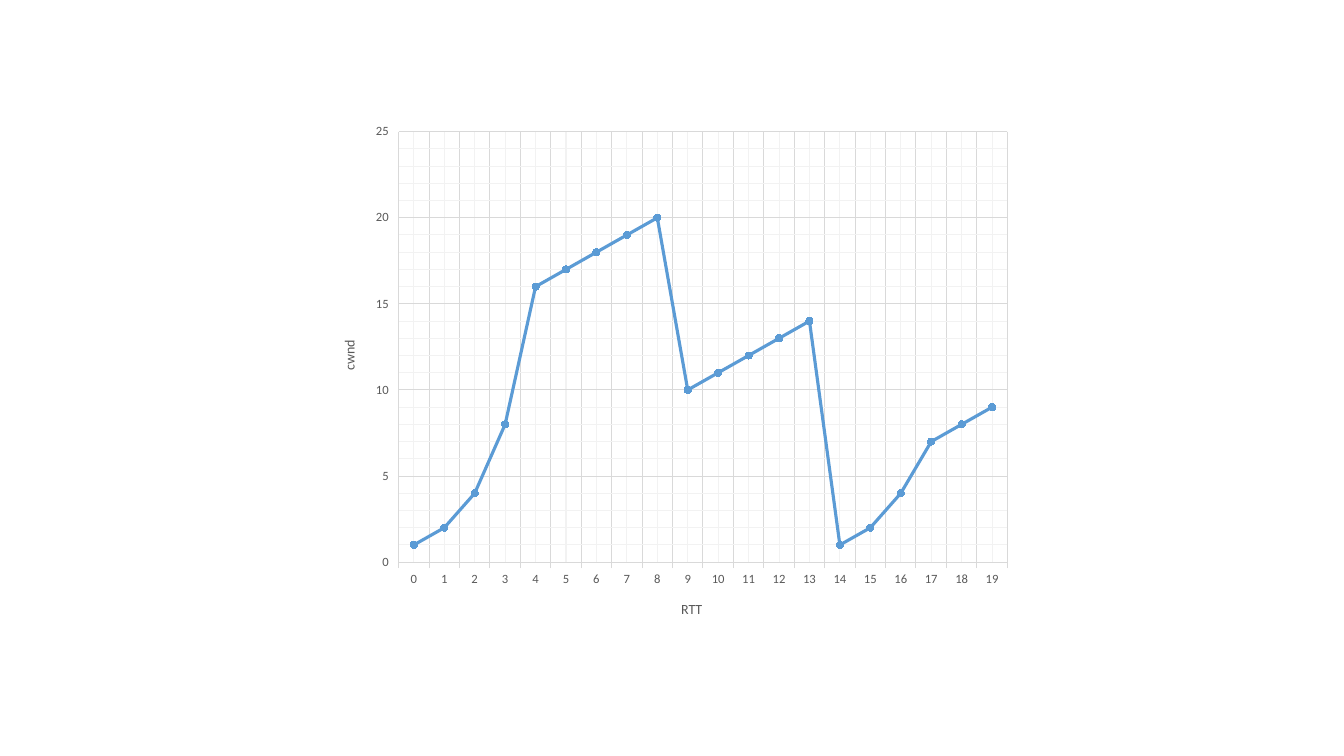
from pptx import Presentation
from pptx.chart.data import CategoryChartData as Data
from pptx.dml.color import RGBColor
from pptx.enum.chart import XL_CHART_TYPE as Kind, XL_MARKER_STYLE as Mark, XL_TICK_MARK as Tick
from pptx.oxml import parse_xml
from pptx.oxml.ns import nsdecls
from pptx.util import Inches, Pt

BLUE = RGBColor(0x5B, 0x9B, 0xD5)
GRAY = RGBColor(0x59, 0x59, 0x59)
GRID = RGBColor(0xD9, 0xD9, 0xD9)
PALE = RGBColor(0xF2, 0xF2, 0xF2)
CWND = [1, 2, 4, 8, *range(16, 21), *range(10, 15), 1, 2, 4, 7, 8, 9]


class Deck:
    face = "Calibri"

    def __init__(self, slide):
        self.slide = slide

    def font(self, font, size, color=GRAY):
        font.name = self.face
        font.size = Pt(size)
        font.bold = False
        font.color.rgb = color

    def line(self, line, color, width=0.75):
        line.color.rgb = color
        line.width = Pt(width)

    def minor(self, chart, color):
        for grid in chart.element.xpath(".//c:minorGridlines"):
            grid.append(parse_xml(
                f'<c:spPr {nsdecls("c", "a")}><a:ln w="{Pt(0.75)}"><a:solidFill>'
                f'<a:srgbClr val="{color}"/></a:solidFill></a:ln></c:spPr>'))

    def axis(self, axis, title):
        axis.has_title = True
        frame = axis.axis_title.text_frame
        frame.text = title
        self.font(frame.paragraphs[0].runs[0].font, 10)
        self.font(axis.tick_labels.font, 9)
        axis.major_tick_mark = Tick.OUTSIDE
        axis.minor_tick_mark = Tick.NONE
        axis.has_major_gridlines = axis.has_minor_gridlines = True
        self.line(axis.major_gridlines.format.line, GRID)

    def frame(self, chart, x, y, w, h):
        plot = chart.element.xpath("c:chart/c:plotArea")[0]
        for old in plot.xpath("c:layout"):
            plot.remove(old)
        sizes = "".join(f'<c:{tag} val="{val}"/>' for tag, val in zip("xywh", (x, y, w, h)))
        plot.insert(0, parse_xml(
            f'<c:layout {nsdecls("c")}><c:manualLayout><c:layoutTarget val="inner"/>'
            f'<c:xMode val="edge"/><c:yMode val="edge"/>{sizes}</c:manualLayout></c:layout>'))

    def chart(self, x, y, w, h, values):
        data = Data()
        data.categories = [str(n) for n in range(len(values))]
        data.add_series("Series 1", values)
        chart = self.slide.shapes.add_chart(
            Kind.LINE_MARKERS, Inches(x), Inches(y), Inches(w), Inches(h), data).chart
        chart.has_legend = chart.has_title = False
        self.font(chart.font, 10)
        self.axis(chart.category_axis, "RTT")
        self.line(chart.category_axis.format.line, GRID)
        scale = chart.value_axis
        self.axis(scale, "cwnd")
        self.minor(chart, PALE)
        scale.format.line.fill.background()
        scale.minimum_scale, scale.maximum_scale = 0, 25
        scale.major_unit, scale.minor_unit = 5, 1
        chart.plots[0].vary_by_categories = False
        curve = chart.plots[0].series[0]
        curve.smooth = False
        self.line(curve.format.line, BLUE, 2.25)
        dot = curve.marker
        dot.style = Mark.CIRCLE
        dot.size = 5
        dot.format.fill.solid()
        dot.format.fill.fore_color.rgb = BLUE
        self.line(dot.format.line, BLUE)
        return chart


show = Presentation()
show.slide_width, show.slide_height = Inches(13.33), Inches(7.5)
deck = Deck(show.slides.add_slide(show.slide_layouts[6]))
chart = deck.chart(3.19, 1.15, 6.94, 5.21, CWND)
deck.frame(chart, 0.11, 0.03, 0.87, 0.82)
show.save("out.pptx")
